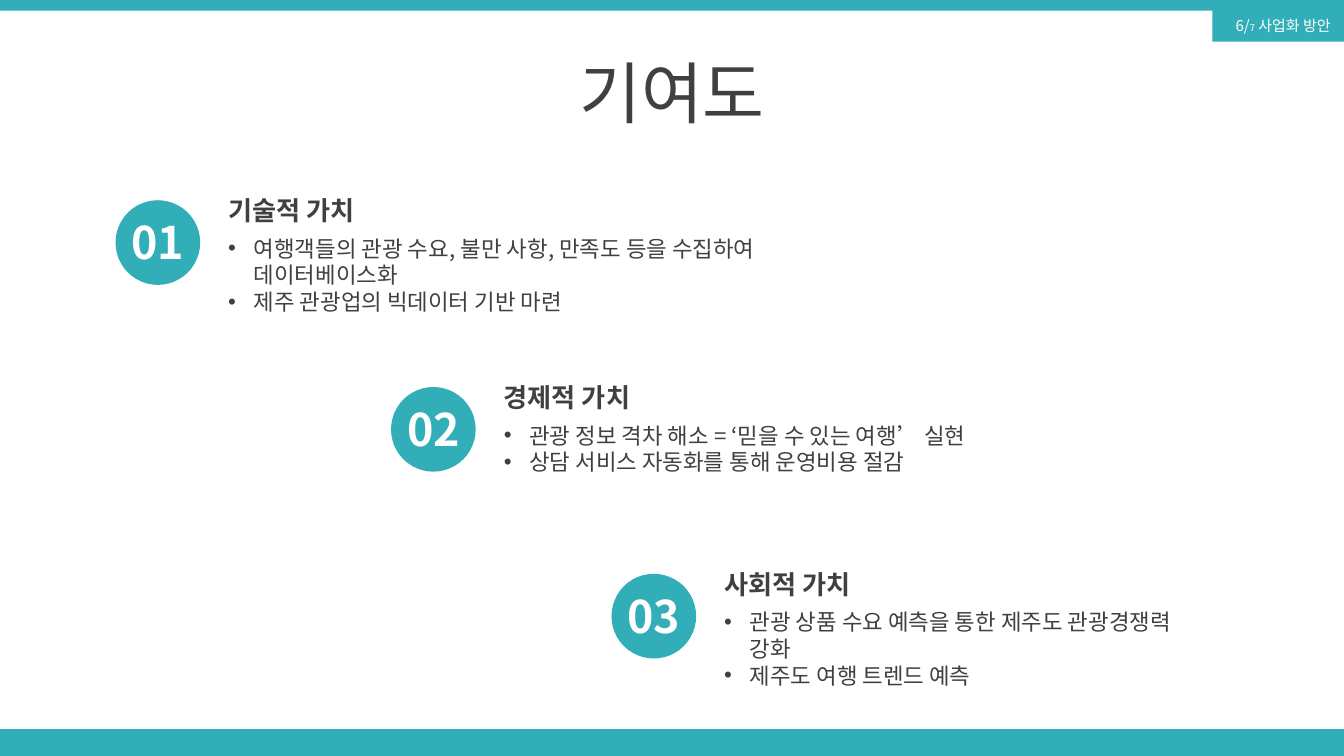
from dataclasses import dataclass

from lxml import etree
from pptx import Presentation
from pptx.dml.color import RGBColor
from pptx.enum.shapes import MSO_SHAPE
from pptx.enum.text import MSO_ANCHOR, PP_ALIGN
from pptx.oxml.ns import qn
from pptx.util import Pt

PX = 4572
RECTANGLE, OVAL = MSO_SHAPE.RECTANGLE, MSO_SHAPE.OVAL
TOP, MIDDLE = MSO_ANCHOR.TOP, MSO_ANCHOR.MIDDLE
LEFT, CENTER, RIGHT = PP_ALIGN.LEFT, PP_ALIGN.CENTER, PP_ALIGN.RIGHT


@dataclass(frozen=True)
class Theme:
    """Colours, font and type sizes of the deck."""
    teal: RGBColor = RGBColor(0x32, 0xAE, 0xB8)
    ink: RGBColor = RGBColor(0x40, 0x40, 0x40)
    white: RGBColor = RGBColor(0xFF, 0xFF, 0xFF)
    font: str = "Noto Sans CJK KR"
    title: int = 36
    number: int = 24
    heading: int = 14
    body: int = 12
    tag: int = 8
    tag_small: int = 5
    leading: float = 1.19


THEME = Theme()

VALUES = [
    (172, 298, 994, "01", "기술적 가치", [
        "여행객들의 관광 수요, 불만 사항, 만족도 등을 수집하여 데이터베이스화",
        "제주 관광업의 빅데이터 기반 마련"]),
    (582, 576, 744, "02", "경제적 가치", [
        "관광 정보 격차 해소 = ‘믿을 수 있는 여행’ 실현",
        "상담 서비스 자동화를 통해 운영비용 절감"]),
    (910, 854, 760, "03", "사회적 가치", [
        "관광 상품 수요 예측을 통한 제주도 관광경쟁력 강화",
        "제주도 여행 트렌드 예측"]),
]


def emu(*lengths):
    """Turn px lengths into EMU."""
    return [length * PX for length in lengths]


def add_block(shapes, kind, box):
    """Add a plain teal shape."""
    block = shapes.add_shape(kind, *emu(*box))
    block.shadow.inherit = False
    block.fill.solid()
    block.fill.fore_color.rgb = THEME.teal
    block.line.fill.background()
    return block


def add_span(para, text, size, color, bold=False):
    """Add one run in the theme font."""
    span = para.add_run()
    span.text = text
    font = span.font
    font.size, font.bold, font.name = Pt(size), bold, THEME.font
    font.color.rgb = color
    east_asian = etree.SubElement(span._r.get_or_add_rPr(), qn("a:ea"))
    east_asian.set("typeface", THEME.font)


def add_bullet(para):
    """Give a paragraph a hanging round bullet."""
    properties = para._p.get_or_add_pPr()
    indent, = emu(38)
    properties.set("marL", str(indent))
    properties.set("indent", str(-indent))
    etree.SubElement(properties, qn("a:buFont")).set("typeface", "Arial")
    etree.SubElement(properties, qn("a:buChar")).set("char", "•")


def add_text(shapes, box, lines, size, color, bold=False, align=LEFT,
             anchor=TOP, bullets=False):
    """Add a wrapped text box with one paragraph per line."""
    frame = shapes.add_textbox(*emu(*box)).text_frame
    frame.word_wrap = True
    frame.vertical_anchor = anchor
    for index, line in enumerate(lines):
        para = frame.add_paragraph() if index else frame.paragraphs[0]
        if bullets:
            add_bullet(para)
        para.alignment = align
        if anchor == TOP:
            para.line_spacing = Pt(size * THEME.leading)
        add_span(para, line, size, color, bold)


def add_tag(shapes, box):
    """Add the section tag in the corner."""
    frame = add_block(shapes, RECTANGLE, box).text_frame
    frame.word_wrap = True
    frame.vertical_anchor = MIDDLE
    para = frame.paragraphs[0]
    para.alignment = RIGHT
    for text, size in [("6/", THEME.tag), ("7", THEME.tag_small),
                       (" 사업화 방안", THEME.tag)]:
        add_span(para, text, size, THEME.white)


def add_value(shapes, left, top, body_width, number, heading, points):
    """Add a numbered circle with its heading and bullet points."""
    group = shapes.add_group_shape().shapes
    add_block(group, OVAL, (left, top, 126, 126))
    add_text(group, (left + 148, top + 42, body_width, 100), points,
             THEME.body, THEME.ink, bullets=True)
    add_text(group, (left + 148, top - 18, 804, 68), [heading],
             THEME.heading, THEME.ink, bold=True)
    add_text(group, (left - 7, top + 13, 140, 100), [number],
             THEME.number, THEME.white, bold=True, align=CENTER)


def main():
    """Build and save the deck."""
    deck = Presentation()
    deck.slide_width, deck.slide_height = emu(2000, 1125)
    page = deck.slides.add_slide(deck.slide_layouts[6])
    shapes = page.shapes
    add_block(shapes, RECTANGLE, (0, 1085, 2000, 40))
    add_block(shapes, RECTANGLE, (0, 0, 2000, 16))
    add_text(shapes, (0, 74, 2000, 126), ["기여도"], THEME.title, THEME.ink,
             align=CENTER, anchor=MIDDLE)
    for value in VALUES:
        add_value(shapes, *value)
    add_tag(shapes, (1804, 14, 196, 48))
    deck.save("out.pptx")


if __name__ == "__main__":
    main()
